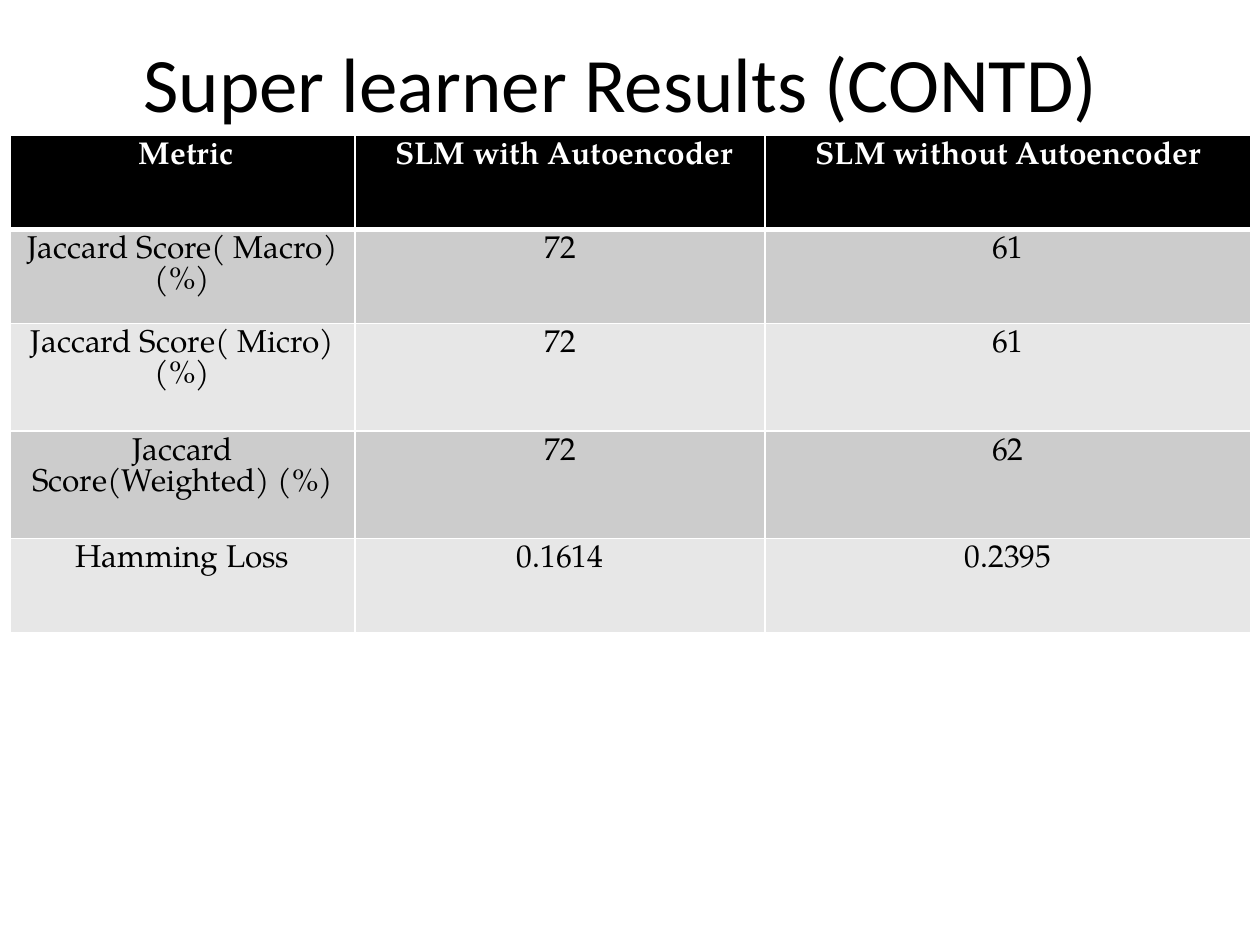
from lxml import etree
from pptx import Presentation
from pptx.dml.color import RGBColor
from pptx.enum.text import MSO_ANCHOR, PP_ALIGN
from pptx.oxml.ns import qn
from pptx.util import Cm, Pt

CENTER = PP_ALIGN.CENTER
MIDDLE = MSO_ANCHOR.MIDDLE

COLORS = {
    "black": "000000",
    "white": "FFFFFF",
    "odd": "CCCCCC",
    "even": "E7E7E7",
}
TITLE_FONT = "Calibri"
TABLE_FONT = "TeX Gyre Pagella"

COLUMN_WIDTHS = [6.96, 8.26, 9.8]
ROW_HEIGHTS = [1.9, 1.9, 2.17, 2.17, 1.9]
RESULTS = [
    [" Metric", " SLM with Autoencoder", "SLM without Autoencoder"],
    ["Jaccard Score( Macro) (%)", "72", "61"],
    ["Jaccard Score( Micro) (%)", "72", "61"],
    ["Jaccard Score(Weighted) (%)", "72", "62"],
    ["Hamming Loss", "0.1614", "0.2395"],
]


def color(name):
    return RGBColor.from_string(COLORS[name])


def add_run(paragraph, text, font, size, ink, bold=False):
    paragraph.alignment = CENTER
    run = paragraph.add_run()
    run.text = text
    run.font.name = font
    run.font.size = Pt(size)
    run.font.bold = bold
    run.font.color.rgb = color(ink)


def add_title(slide, text):
    title = slide.shapes.add_textbox(Cm(1.09), Cm(0.05), Cm(22.86), Cm(3.18))
    frame = title.text_frame
    frame.word_wrap = True
    frame.vertical_anchor = MIDDLE
    add_run(frame.paragraphs[0], text, TITLE_FONT, 44, "black")


def set_borders(cell, top, bottom):
    properties = cell._tc.get_or_add_tcPr()
    widths = {"a:lnL": 1, "a:lnR": 1, "a:lnT": top, "a:lnB": bottom}
    for position, (side, width) in enumerate(widths.items()):
        line = etree.Element(qn(side), w=str(Pt(width)))
        fill = etree.SubElement(line, qn("a:solidFill"))
        etree.SubElement(fill, qn("a:srgbClr"), val=COLORS["white"])
        properties.insert(position, line)


def fill_cell(cell, text, row):
    header = row == 0
    background = "black" if header else "odd" if row % 2 else "even"
    cell.fill.solid()
    cell.fill.fore_color.rgb = color(background)
    set_borders(cell, 3 if row == 1 else 1, 3 if header else 1)
    paragraph = cell.text_frame.paragraphs[0]
    paragraph.line_spacing = Pt(18)
    add_run(paragraph, text, TABLE_FONT, 18, "white" if header else "black", header)


def add_results(slide):
    table = slide.shapes.add_table(
        len(RESULTS), len(COLUMN_WIDTHS), Cm(0.2), Cm(2.72),
        Cm(sum(COLUMN_WIDTHS)), Cm(sum(ROW_HEIGHTS)),
    ).table
    for column, width in zip(table.columns, COLUMN_WIDTHS):
        column.width = Cm(width)
    for row, height in zip(table.rows, ROW_HEIGHTS):
        row.height = Cm(height)
    for r, values in enumerate(RESULTS):
        for c, value in enumerate(values):
            fill_cell(table.cell(r, c), value, r)


def main():
    deck = Presentation()
    deck.slide_width = Cm(25.4)
    deck.slide_height = Cm(19.05)
    slide = deck.slides.add_slide(deck.slide_layouts[6])
    add_title(slide, "Super learner Results (CONTD)")
    add_results(slide)
    deck.save("out.pptx")


if __name__ == "__main__":
    main()
